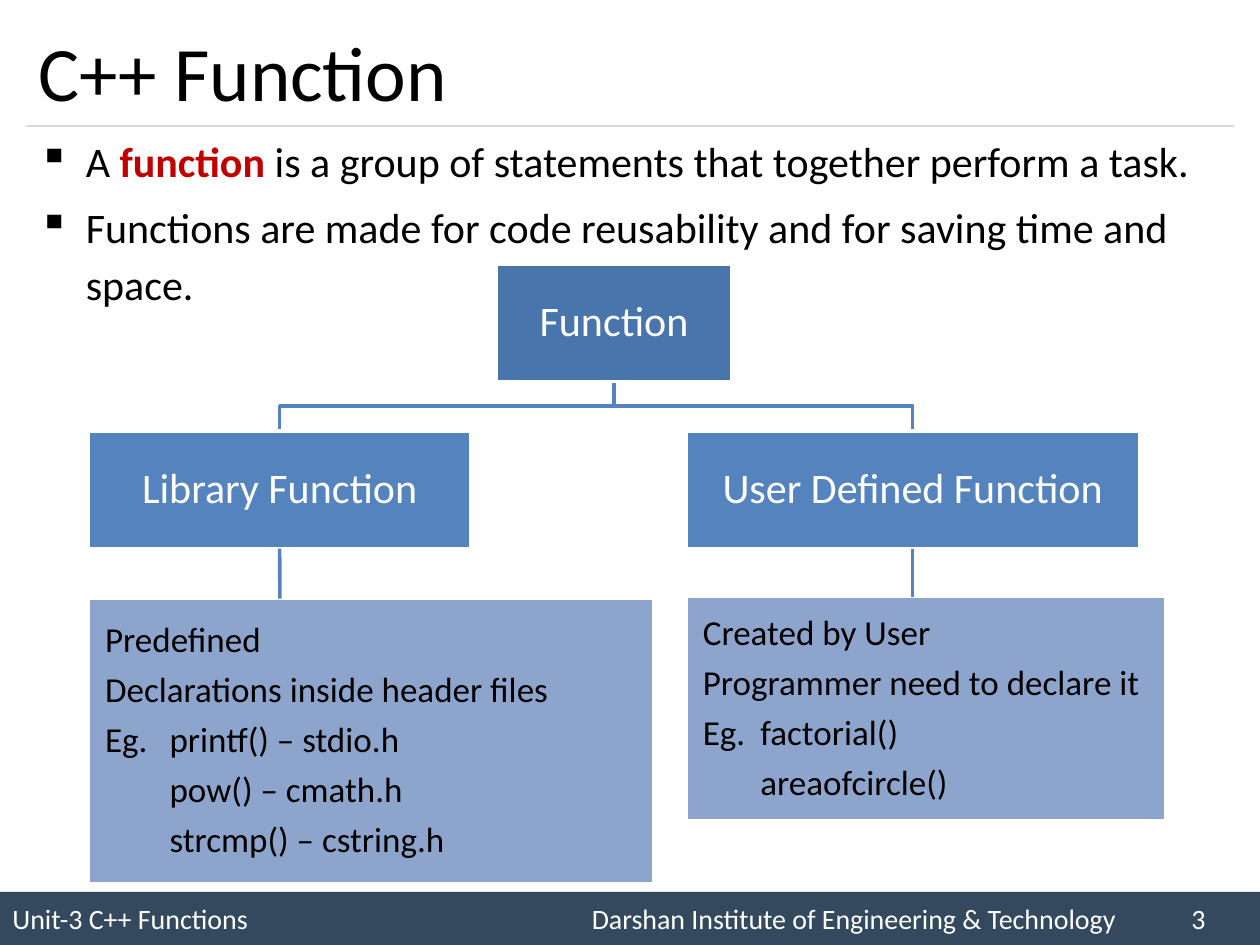
import lxml.etree
import pptx
import pptx.dml.color
import pptx.enum.shapes
import pptx.enum.text
import pptx.oxml.ns
import pptx.util

Cm = pptx.util.Cm
Pt = pptx.util.Pt
RGBColor = pptx.dml.color.RGBColor
MIDDLE = pptx.enum.text.MSO_ANCHOR.MIDDLE
LEFT = pptx.enum.text.PP_ALIGN.LEFT
CENTER = pptx.enum.text.PP_ALIGN.CENTER
qn = pptx.oxml.ns.qn


class Theme:
    font = "Calibri"
    white = RGBColor(0xFF, 0xFF, 0xFF)
    black = RGBColor(0x00, 0x00, 0x00)
    accent = RGBColor(0xC0, 0x00, 0x00)
    rule = RGBColor(0xD9, 0xD9, 0xD9)
    footer = RGBColor(0x34, 0x49, 0x5E)
    root = RGBColor(0x48, 0x75, 0xAC)
    branch = RGBColor(0x54, 0x83, 0xBE)
    detail = RGBColor(0x8D, 0xA5, 0xCC)
    title_size = Pt(44)
    body_size = Pt(24)
    detail_size = Pt(20)
    footer_size = Pt(16)


def style_paragraph(paragraph, size, color, alignment=LEFT, tabs=()):
    paragraph.alignment = alignment
    if tabs:
        properties = paragraph._p.get_or_add_pPr()
        tab_list = lxml.etree.SubElement(properties, qn("a:tabLst"))
        for position in tabs:
            lxml.etree.SubElement(tab_list, qn("a:tab"), pos=str(Cm(position)), algn="l")
    paragraph.font.name = Theme.font
    paragraph.font.size = size
    paragraph.font.color.rgb = color


def add_box(left, top, width, height, fill, border=None):
    shape = slide.shapes.add_shape(
        pptx.enum.shapes.MSO_SHAPE.RECTANGLE, Cm(left), Cm(top), Cm(width), Cm(height))
    shape.shadow.inherit = False
    shape.fill.solid()
    shape.fill.fore_color.rgb = fill
    if border is None:
        shape.line.fill.background()
    else:
        shape.line.color.rgb = border
        shape.line.width = Pt(2)
    shape.text_frame.word_wrap = True
    shape.text_frame.vertical_anchor = MIDDLE
    return shape


presentation = pptx.Presentation()
presentation.slide_width = Cm(25.4)
presentation.slide_height = Cm(19.05)
slide = presentation.slides.add_slide(presentation.slide_layouts[6])

footer = add_box(0, 17.98, 25.4, 1.07, Theme.footer)
paragraph = footer.text_frame.paragraphs[0]
paragraph.text = "Unit-3 C++ Functions\tDarshan Institute of Engineering & Technology\t3"
style_paragraph(paragraph, Theme.footer_size, Theme.white, tabs=(11.68, 23.77))

title = slide.shapes.add_textbox(Cm(0.53), Cm(0.3), Cm(24.33), Cm(2.24))
title.text_frame.word_wrap = True
title.text_frame.vertical_anchor = MIDDLE
paragraph = title.text_frame.paragraphs[0]
paragraph.text = "C++ Function"
style_paragraph(paragraph, Theme.title_size, Theme.black)

body = slide.shapes.add_textbox(Cm(0.53), Cm(2.29), Cm(24.33), Cm(3.73))
body.text_frame.word_wrap = True
body.text_frame.margin_top = Cm(0.3)
bullets = [
    ["A\u00a0", "function", "\u00a0is a group of statements that together perform a task."],
    ["Functions are made for code reusability and for saving time and space."],
]
for index, pieces in enumerate(bullets):
    paragraph = body.text_frame.paragraphs[0] if index == 0 else body.text_frame.add_paragraph()
    paragraph.line_spacing = 1.14
    if index:
        paragraph.space_before = Pt(4.8)
    properties = paragraph._p.get_or_add_pPr()
    properties.set("marL", str(Cm(0.95)))
    properties.set("indent", str(-Cm(0.95)))
    lxml.etree.SubElement(properties, qn("a:buChar"), char="▪")
    style_paragraph(paragraph, Theme.body_size, Theme.black)
    for piece in pieces:
        run = paragraph.add_run()
        run.text = piece
        if piece == "function":
            run.font.bold = True
            run.font.color.rgb = Theme.accent

root_center, root_bottom, branch_top, box_height = 12.38, 7.69, 8.69, 2.37
fork_height = (root_bottom + branch_top) / 2
branch_centers = (5.64, 18.4)
for center in branch_centers:
    builder = slide.shapes.build_freeform(Cm(root_center), Cm(root_bottom))
    builder.add_line_segments(
        [(Cm(root_center), Cm(fork_height)), (Cm(center), Cm(fork_height)),
         (Cm(center), Cm(branch_top))], close=False)
    elbow = builder.convert_to_shape()
    elbow.shadow.inherit = False
    elbow.fill.background()
    elbow.line.color.rgb = Theme.branch
    elbow.line.width = Pt(2)

nodes = []
for text, center, top, width, fill in [
    ("Function", root_center, root_bottom - box_height, 4.75, Theme.root),
    ("Library Function", branch_centers[0], branch_top, 7.72, Theme.branch),
    ("User Defined Function", branch_centers[1], branch_top, 9.14, Theme.branch),
]:
    node = add_box(center - width / 2, top, width, box_height, fill, Theme.white)
    frame = node.text_frame
    frame.margin_left = frame.margin_right = frame.margin_top = frame.margin_bottom = Cm(0.05)
    paragraph = frame.paragraphs[0]
    paragraph.text = text
    paragraph.line_spacing = 0.9
    paragraph.space_after = Pt(8.4)
    style_paragraph(paragraph, Theme.body_size, Theme.white, CENTER)
    nodes.append(node)

details = [
    (1.78, 12.07, 11.4, 5.74, 1.3,
     ["Predefined", "Declarations inside header files", "Eg.\tprintf() – stdio.h",
      "\tpow() – cmath.h", "\tstrcmp() – cstring.h"]),
    (13.83, 12.03, 9.68, 4.52, 1.16,
     ["Created by User", "Programmer need to declare it", "Eg.\tfactorial()",
      "\tareaofcircle()"]),
]
for left, top, width, height, tab, lines in details:
    frame = add_box(left, top, width, height, Theme.detail, Theme.white).text_frame
    frame.margin_left = Cm(0.34)
    frame.margin_right = frame.margin_top = frame.margin_bottom = Cm(0.03)
    for index, line in enumerate(lines):
        paragraph = frame.paragraphs[0] if index == 0 else frame.add_paragraph()
        paragraph.text = line
        paragraph.line_spacing = 0.9
        paragraph.space_after = Pt(7)
        style_paragraph(paragraph, Theme.detail_size, Theme.black, tabs=(tab,))

branch_bottom = branch_top + box_height
straight_lines = [(0.53, 2.54, 24.87, 2.54, Theme.rule, 0.75, None)]
for center, node, detail in zip(branch_centers, nodes[1:], details):
    straight_lines.append((center, branch_bottom, center, detail[1], Theme.branch, 2, node))
for start_x, start_y, end_x, end_y, color, weight, node in straight_lines:
    connector = slide.shapes.add_connector(
        pptx.enum.shapes.MSO_CONNECTOR.STRAIGHT, Cm(start_x), Cm(start_y), Cm(end_x), Cm(end_y))
    if node is not None:
        connector.begin_connect(node, 2)
    connector.line.color.rgb = color
    connector.line.width = Pt(weight)
    lxml.etree.SubElement(connector._element.spPr, qn("a:effectLst"))

presentation.save("out.pptx")
